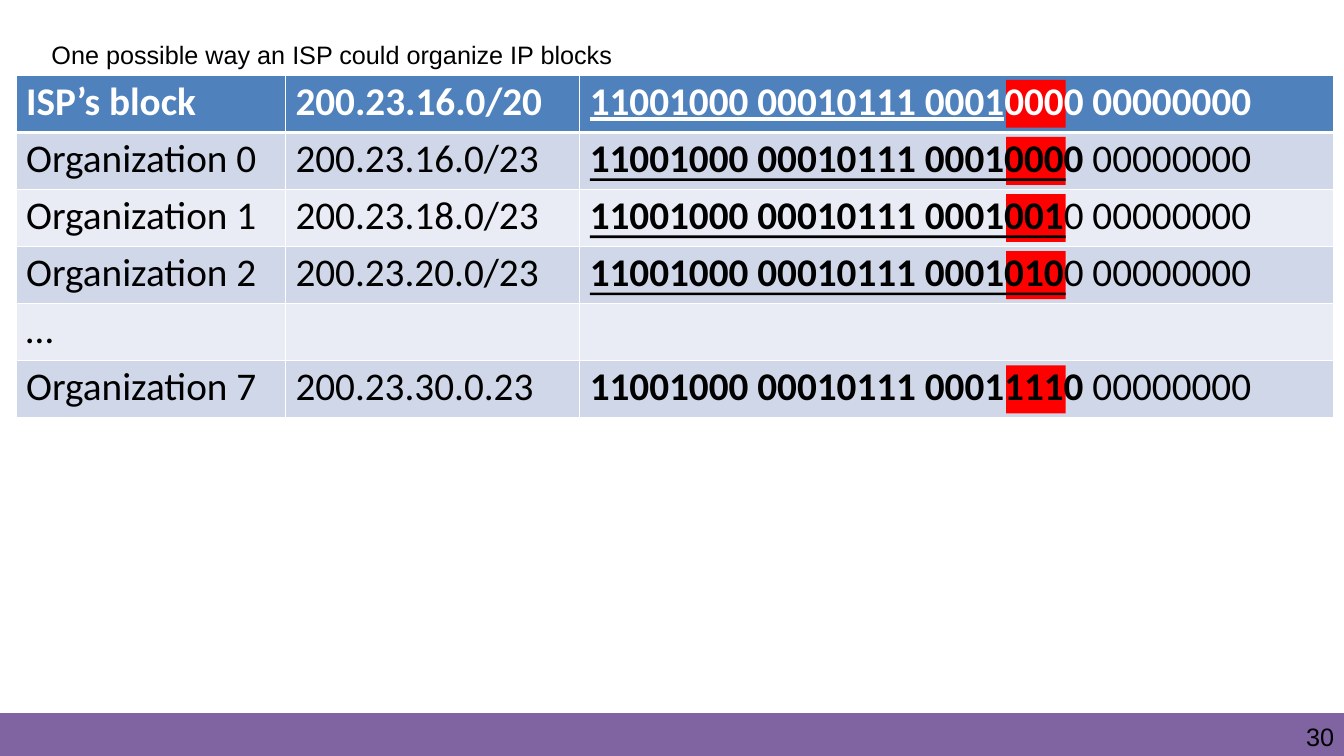
from dataclasses import dataclass

from lxml import etree
from pptx import Presentation
from pptx.dml.color import RGBColor
from pptx.enum.shapes import MSO_SHAPE
from pptx.oxml.ns import qn
from pptx.util import Pt

RECTANGLE = MSO_SHAPE.RECTANGLE


@dataclass(frozen=True)
class Theme:
    header: str = "4F81BC"
    dark_band: str = "D0D7E8"
    light_band: str = "E9ECF4"
    highlight: str = "FF0000"
    footer: str = "8063A1"
    white: str = "FFFFFF"
    black: str = "000000"
    table_font: str = "Calibri"
    text_font: str = "Arial"
    table_size: float = 28
    text_size: float = 18


TABLE_LEFT, TABLE_TOP, ROW_HEIGHT = 11.5, 53.8, 40.8
COLUMN_WIDTHS = [192.4, 210.2, 538.4]
BITS_LEFT = TABLE_LEFT + sum(COLUMN_WIDTHS[:2])
CELL_INDENT = 7.2
SUBNET_LEFT, SUBNET_WIDTH = 718.6, 42.6

# Each row: name, address block, bits as (text, style) with b = bold, u = underlined
BLOCKS = [
    ("ISP’s block", "200.23.16.0/20",
     [("11001000 00010111 0001", "bu"), ("0000 00000000", "b")]),
    ("Organization 0", "200.23.16.0/23",
     [("11001000 00010111 00010000 ", "b"), ("00000000", "")]),
    ("Organization 1", "200.23.18.0/23",
     [("11001000 00010111 0001001", "b"), ("0 00000000", "")]),
    ("Organization 2", "200.23.20.0/23",
     [("11001000 00010111 0001010", "b"), ("0 00000000", "")]),
    ("…", "", []),
    ("Organization 7", "200.23.30.0.23",
     [("11001000 00010111 00011110 ", "b"), ("00000000", "")]),
]
UNDERLINED_ROWS = (1, 2, 3)


class SlideBuilder:
    def __init__(self, slide, theme):
        self.slide = slide
        self.theme = theme

    def rectangle(self, left, top, width, height, color, line_width=0):
        shape = self.slide.shapes.add_shape(
            RECTANGLE, Pt(left), Pt(top), Pt(width), Pt(height))
        shape.shadow.inherit = False
        shape.fill.solid()
        shape.fill.fore_color.rgb = RGBColor.from_string(color)
        if line_width:
            shape.line.color.rgb = RGBColor.from_string(color)
            shape.line.width = Pt(line_width)
        else:
            shape.line.fill.background()

    def run(self, paragraph, text, font, size, color, style=""):
        run = paragraph.add_run()
        run.text = text
        run.font.name = font
        run.font.size = Pt(size)
        run.font.color.rgb = RGBColor.from_string(color)
        run.font.bold = "b" in style
        run.font.underline = "u" in style

    def text(self, left, top, width, height, text):
        frame = self.slide.shapes.add_textbox(
            Pt(left), Pt(top), Pt(width), Pt(height)).text_frame
        frame.word_wrap = True
        frame.margin_left = frame.margin_right = Pt(0)
        frame.margin_top = frame.margin_bottom = Pt(0)
        self.run(frame.paragraphs[0], text, self.theme.text_font,
                 self.theme.text_size, self.theme.black)

    def borders(self, cell, top, bottom):
        properties = cell._tc.get_or_add_tcPr()
        for side, width in (("L", 1), ("R", 1), ("T", top), ("B", bottom)):
            line = etree.SubElement(properties, qn(f"a:ln{side}"), w=str(Pt(width)))
            fill = etree.SubElement(line, qn("a:solidFill"))
            etree.SubElement(fill, qn("a:srgbClr"), val=self.theme.white)

    def cell(self, cell, runs, row, fill):
        """Fill one table cell; a fill of None leaves it see-through."""
        self.borders(cell, 3 if row == 1 else 1, 3 if row == 0 else 1)
        if fill:
            cell.fill.solid()
            cell.fill.fore_color.rgb = RGBColor.from_string(fill)
        else:
            cell.fill.background()
        cell.margin_left = Pt(CELL_INDENT)
        cell.margin_top = Pt(1.8)
        cell.margin_right = cell.margin_bottom = Pt(0)
        color = self.theme.black if row else self.theme.white
        for text, style in runs:
            self.run(cell.text_frame.paragraphs[0], text, self.theme.table_font,
                     self.theme.table_size, color, style)

    def row_fill(self, row):
        if row == 0:
            return self.theme.header
        return self.theme.dark_band if row % 2 else self.theme.light_band

    def bit_marks(self, row):
        """Draw the band, subnet highlight and prefix rule behind the bits."""
        top = TABLE_TOP + row * ROW_HEIGHT
        self.rectangle(BITS_LEFT, top, COLUMN_WIDTHS[2], ROW_HEIGHT, self.row_fill(row))
        self.rectangle(SUBNET_LEFT, top + 3.2, SUBNET_WIDTH, 34.2, self.theme.highlight)
        if row in UNDERLINED_ROWS:
            left = BITS_LEFT + CELL_INDENT
            self.rectangle(left, top + 32.8, SUBNET_LEFT + SUBNET_WIDTH - left, 1.9,
                           self.theme.black)

    def block_table(self, blocks):
        table = self.slide.shapes.add_table(
            len(blocks), len(COLUMN_WIDTHS), Pt(TABLE_LEFT), Pt(TABLE_TOP),
            Pt(sum(COLUMN_WIDTHS)), Pt(ROW_HEIGHT * len(blocks))).table
        table.first_row = table.horz_banding = False
        for column, width in zip(table.columns, COLUMN_WIDTHS):
            column.width = Pt(width)
        for row, (name, address, bits) in enumerate(blocks):
            table.rows[row].height = Pt(ROW_HEIGHT)
            style = "" if row else "b"
            fill = self.row_fill(row)
            self.cell(table.cell(row, 0), [(name, style)], row, fill)
            self.cell(table.cell(row, 1), [(address, style)] if address else [], row, fill)
            self.cell(table.cell(row, 2), bits, row, None if bits else fill)


def main():
    presentation = Presentation()
    presentation.slide_width, presentation.slide_height = Pt(960), Pt(540)
    slide = presentation.slides.add_slide(presentation.slide_layouts[6])
    theme = Theme()
    builder = SlideBuilder(slide, theme)

    builder.rectangle(0, 509.8, 960, 30.2, theme.footer, line_width=1)
    for row, (_, _, bits) in enumerate(BLOCKS):
        if bits:
            builder.bit_marks(row)
    builder.block_table(BLOCKS)
    builder.text(933, 515, 26, 22, "30")
    builder.text(36.8, 28, 410, 22, "One possible way an ISP could organize IP blocks")

    presentation.save("out.pptx")


if __name__ == "__main__":
    main()
